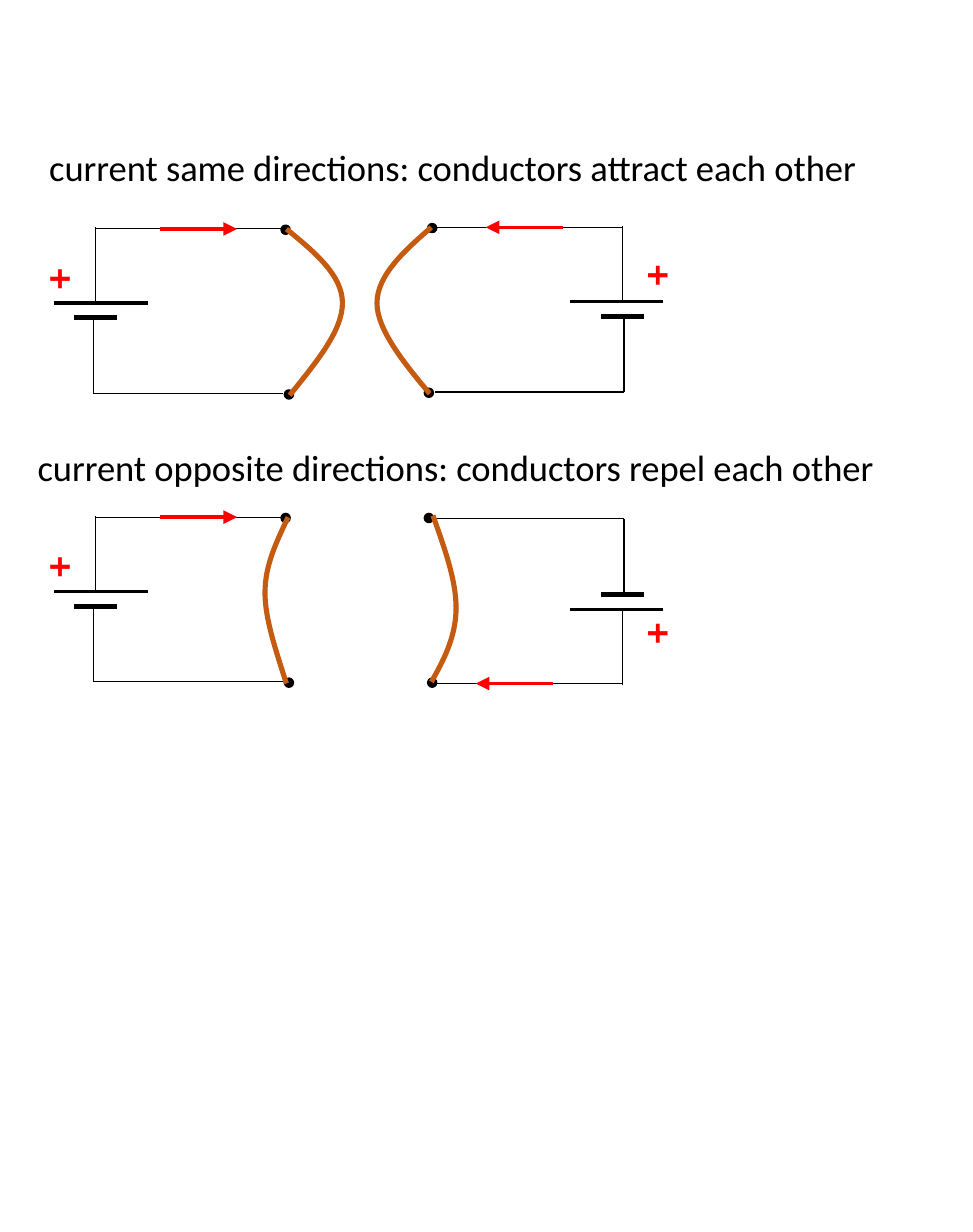
from collections import namedtuple

from lxml import etree
from pptx import Presentation
from pptx.dml.color import RGBColor
from pptx.enum.shapes import MSO_CONNECTOR, MSO_SHAPE
from pptx.enum.text import MSO_AUTO_SIZE
from pptx.oxml.ns import qn
from pptx.util import Inches, Pt

STRAIGHT = MSO_CONNECTOR.STRAIGHT
OVAL = MSO_SHAPE.OVAL
GROW = MSO_AUTO_SIZE.SHAPE_TO_FIT_TEXT

Theme = namedtuple("Theme", "font black red copper caption plus")
THEME = Theme("Calibri", RGBColor(0, 0, 0), RGBColor(255, 0, 0),
              RGBColor(0xC5, 0x5A, 0x11), 16, 18)

prs = Presentation()
prs.slide_width, prs.slide_height = Inches(5.91), Inches(7.48)
slide = prs.slides.add_slide(prs.slide_layouts[6])
shapes = slide.shapes


def add_text(text, left, top, width, height, *, size, color, bold=False, rotation=0):
    box = shapes.add_textbox(Inches(left), Inches(top), Inches(width), Inches(height))
    box.rotation = rotation
    frame = box.text_frame
    frame.word_wrap = False
    frame.auto_size = GROW
    run = frame.paragraphs[0].add_run()
    run.text = text
    run.font.name, run.font.size, run.font.bold = THEME.font, Pt(size), bold
    run.font.color.rgb = color


def add_line(start, end, color, width, arrow=False):
    line = shapes.add_connector(STRAIGHT, *map(Inches, (*start, *end)))
    line.line.color.rgb = color
    line.line.width = Pt(width)
    if arrow:
        etree.SubElement(line.line._get_or_add_ln(), qn("a:tailEnd"), type="triangle")
    etree.SubElement(line._element.spPr, qn("a:effectLst"))


# One circuit with its battery on the left: start, end, line width
WIRING = [
    ((0.33, 1.84), (0.90, 1.84), 1.5),
    ((0.45, 1.93), (0.71, 1.93), 2.25),
    ((0.57, 2.39), (0.57, 1.94), 0.5),
    ((0.58, 1.83), (0.58, 1.38), 0.5),
    ((0.58, 1.39), (1.73, 1.39), 0.5),
    ((0.57, 2.39), (1.72, 2.39), 0.5),
]
TERMINALS = [(1.755, 2.395), (1.735, 1.395)]
PLUS = (0.345, 1.69)
DOT = 0.05
ARROW_LENGTH = 0.47

# Each circuit: x offset and sign, y offset and sign, arrow start x, then the
# conductor as a start point and two Bezier segments of three points
CIRCUITS = [
    (0, 1, 0, 1, 0.97,
     [(1.74, 1.39), (1.91, 1.53), (2.08, 1.67), (2.08, 1.84),
      (2.08, 2.01), (1.92, 2.20), (1.76, 2.40)]),
    (4.36, -1, -0.01, 1, 3.42,
     [(2.62, 1.38), (2.46, 1.52), (2.29, 1.67), (2.29, 1.84),
      (2.29, 2.00), (2.45, 2.20), (2.61, 2.39)]),
    (0, 1, 1.75, 1, 0.97,
     [(1.75, 3.14), (1.68, 3.29), (1.61, 3.43), (1.61, 3.60),
      (1.61, 3.76), (1.68, 3.96), (1.74, 4.15)]),
    (4.36, -1, 5.54, -1, 3.36,
     [(2.62, 4.14), (2.70, 4.00), (2.77, 3.86), (2.77, 3.69),
      (2.77, 3.52), (2.70, 3.33), (2.63, 3.13)]),
]

for x_offset, x_sign, y_offset, y_sign, arrow_x, conductor_points in CIRCUITS:
    def place(point):
        """Move and mirror a point of the basic circuit to this circuit."""
        return x_offset + x_sign * point[0], y_offset + y_sign * point[1]

    for start, end, width in WIRING:
        add_line(place(start), place(end), THEME.black, width)

    plus_x, plus_y = place(PLUS)
    add_text("+", plus_x - 0.165, plus_y - 0.2, 0.33, 0.4, size=THEME.plus,
             color=THEME.red, bold=True, rotation=270 if x_sign > 0 else 90)

    for terminal in TERMINALS:
        x, y = place(terminal)
        dot = shapes.add_shape(OVAL, Inches(x - DOT / 2), Inches(y - DOT / 2),
                               Inches(DOT), Inches(DOT))
        dot.shadow.inherit = False
        dot.fill.solid()
        dot.fill.fore_color.rgb = dot.line.color.rgb = THEME.black
        dot.line.width = Pt(1)

    builder = shapes.build_freeform(*conductor_points[0], scale=Inches(1) / 1.0)
    builder = shapes.build_freeform(*map(Inches, conductor_points[0]))
    builder.add_line_segments([tuple(map(Inches, p)) for p in conductor_points[1:]],
                              close=False)
    conductor = builder.convert_to_shape()
    conductor.shadow.inherit = False
    conductor.fill.background()
    conductor.line.color.rgb = THEME.copper
    conductor.line.width = Pt(2.25)
    # Turn every three straight segments into one Bezier segment
    segments = list(conductor._element.iter(qn("a:lnTo")))
    for first in range(0, len(segments), 3):
        curve = etree.SubElement(segments[first].getparent(), qn("a:cubicBezTo"))
        for segment in segments[first:first + 3]:
            curve.append(segment[0])
            segment.getparent().remove(segment)

    arrow_y = place((0, 1.39))[1]
    add_line((arrow_x, arrow_y), (arrow_x + x_sign * ARROW_LENGTH, arrow_y),
             THEME.red, 1.5, arrow=True)

for caption, left, top, width in [
    ("current same directions: conductors attract each other", 0.2, 0.83, 5.18),
    ("current opposite directions: conductors repel each other", 0.13, 2.65, 5.3),
]:
    add_text(caption, left, top, width, 0.37, size=THEME.caption, color=THEME.black)

prs.save("out.pptx")
